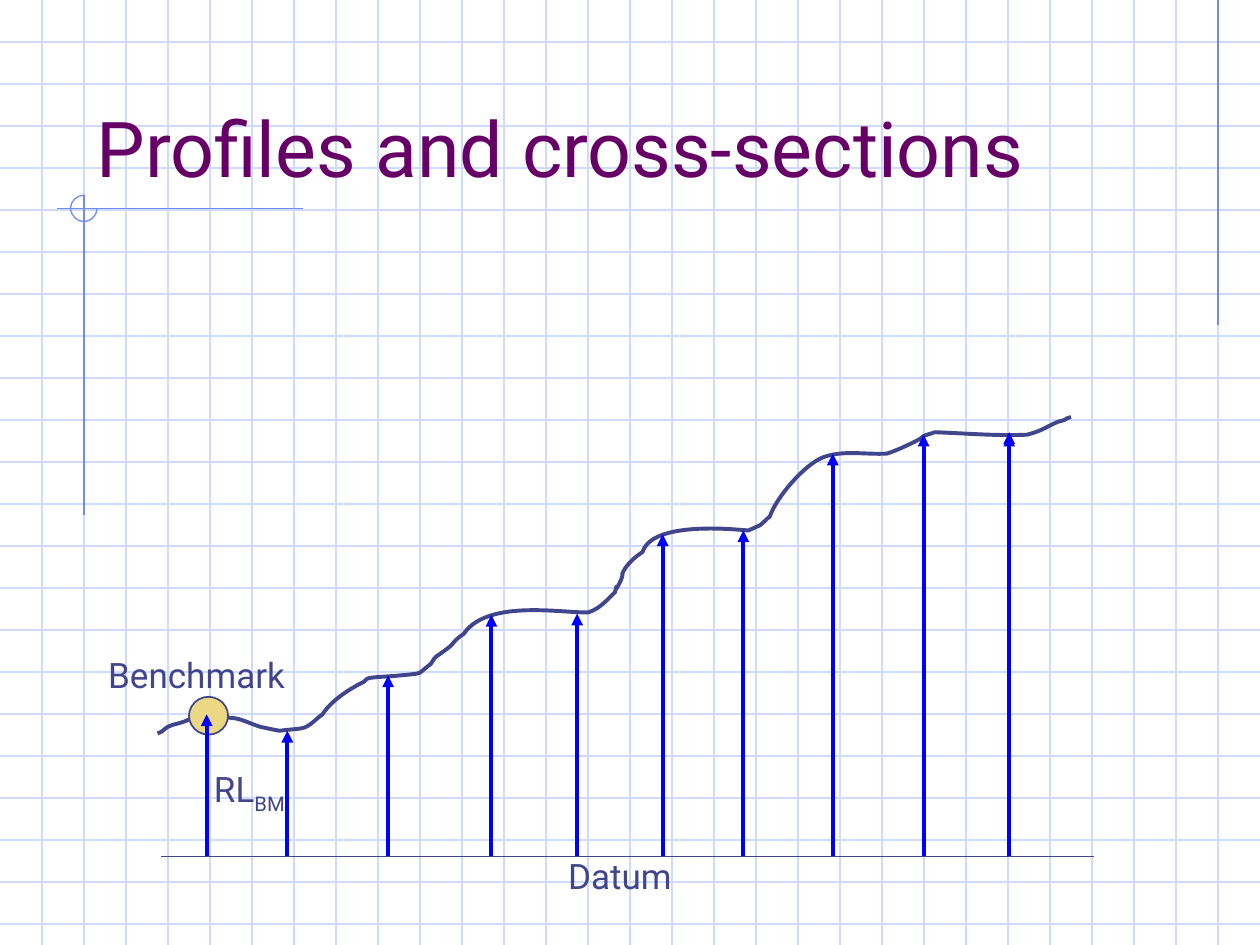
from dataclasses import dataclass

from lxml.etree import SubElement
from pptx import Presentation
from pptx.dml.color import RGBColor as RGB
from pptx.enum.shapes import MSO_CONNECTOR as CONNECTOR, MSO_SHAPE as SHAPE
from pptx.enum.text import MSO_ANCHOR as ANCHOR, MSO_AUTO_SIZE as FIT, PP_ALIGN as ALIGN
from pptx.oxml.ns import qn
from pptx.util import Pt

WIDTH, HEIGHT, GRID = 720, 540, 24
DATUM_Y = 489.4

GROUND = [
    (95, 417.6, 92.2, 416.2, 99.4, 414), (102.2, 413.3, 105.1, 412.6, 108, 411.1),
    (110.9, 410.4, 115.9, 409, 115.9, 409), (121.7, 409.7, 128.2, 409.7, 133.9, 410.4),
    (139, 411.1, 144, 414, 149, 415.4), (156.2, 416.9, 152.6, 416.2, 159.8, 417.6),
    (164.2, 416.9, 167.8, 416.9, 172.1, 416.2), (177.1, 415.4, 180, 411.1, 184.3, 408.2),
    (189.4, 400.3, 199.4, 393.8, 208.1, 389.5), (208.8, 388.8, 209.5, 387.4, 211, 387.4),
    (216.7, 386.6, 223.2, 386.6, 229, 385.9), (229, 385.9, 238.3, 385.2, 239.8, 384.5),
    (241.9, 383, 244.1, 380.9, 246.2, 379.4), (249.8, 373.7, 247, 377.3, 256.3, 370.1),
    (258.5, 368.6, 259.9, 365.8, 262.1, 364.3), (262.8, 363.6, 264.2, 362.9, 265, 362.2),
    (278.6, 342, 322.6, 350.6, 336.2, 349.9), (342.7, 347.8, 346.3, 343.4, 351.4, 338.4),
    (354.2, 329, 349.2, 343.4, 355, 331.2), (355.7, 329.8, 355.7, 328.3, 355.7, 327.6),
    (357.8, 322.6, 362.9, 318.2, 367.2, 315.4), (373, 296.6, 424.8, 303.1, 427.7, 303.1),
    (427.7, 303.1, 434.2, 300.2, 434.2, 300.2), (436.3, 298.8, 437.8, 296.6, 439.9, 295.2),
    (443.5, 284.4, 459.4, 265.7, 470.2, 261.4), (481.7, 257, 494.6, 259.9, 506.9, 259.2),
    (513.4, 257, 519.1, 254.2, 524.9, 251.3), (526.3, 250.6, 527, 249.8, 527.8, 249.1),
    (529.9, 248.4, 534.2, 247, 534.2, 247), (553.7, 247.7, 568.1, 249.1, 586.8, 248.4),
    (595.4, 246.2, 596.2, 244.8, 604.1, 241.2), (605.5, 240.5, 608.4, 240.5, 609.8, 239),
    (610.6, 239, 611.3, 238.3, 612, 238.3),
]

CORNER = [
    (43.9, 111.5, 40.3, 115.2, 40.3, 118.8), (40.3, 123.1, 43.9, 126.7, 48, 126.7),
    (51.8, 126.7, 55.4, 123.1, 55.4, 119.5),
]

BENCHMARK_LEVEL = (118.1, 408.2)
LEVELS = [
    (576.7, 247), (280.8, 351.4), (424.8, 303.1), (576.7, 248.4), (164.2, 417.6),
    (221.8, 385.9), (329.8, 350.6), (378.7, 305.3), (475.9, 259.2), (527.8, 248.4),
]


@dataclass(frozen=True)
class Theme:
    """Colours, font, type sizes and line widths."""
    grid: RGB = RGB.from_string("CFDBFD")
    accent: RGB = RGB.from_string("6F89F7")
    title: RGB = RGB.from_string("660066")
    ink: RGB = RGB.from_string("40458C")
    level: RGB = RGB.from_string("0000FF")
    mark: RGB = RGB.from_string("ECD882")
    font: str = "Roboto"
    title_size: int = 44
    label_size: int = 20
    hair: float = 0.75
    thin: float = 1
    thick: float = 2.25


def assign(obj, **values):
    """Set each named attribute of an object."""
    for name, value in values.items():
        setattr(obj, name, value)


class Sketch:
    """Holds the theme and the current slide and draws elements on it."""

    def __init__(self, s, theme):
        """Keep the slide and the theme."""
        self.s, self.theme, self.shapes = s, theme, s.shapes

    def group(self):
        """Start a group that takes the next elements."""
        sp = self.s.shapes.add_group_shape()
        self.shapes = sp.shapes
        return sp

    def ungroup(self):
        """Draw the next elements on the slide itself."""
        self.shapes = self.s.shapes

    def stroke(self, sp, color, width):
        """Give a shape a solid outline."""
        sp.line.color.rgb = color
        sp.line.width = Pt(width)

    def run(self, p, text, size, color):
        """Add a formatted run to a paragraph."""
        r = p.add_run()
        r.text = text
        assign(r.font, name=self.theme.font, size=Pt(size))
        r.font.color.rgb = color
        return r

    def title(self, text, box):
        """Place and fill the title placeholder."""
        sp = self.s.shapes.title
        assign(sp, **dict(zip(("left", "top", "width", "height"), map(Pt, box))))
        assign(sp.text_frame, vertical_anchor=ANCHOR.BOTTOM, word_wrap=True,
               auto_size=FIT.NONE)
        p = sp.text_frame.paragraphs[0]
        p.alignment = ALIGN.LEFT
        self.run(p, text, self.theme.title_size, self.theme.title)

    def label(self, text, box, sub=""):
        """Add a one-line label with an optional subscript."""
        tf = self.shapes.add_textbox(*map(Pt, box)).text_frame
        assign(tf, word_wrap=False, auto_size=FIT.SHAPE_TO_FIT_TEXT)
        p = tf.paragraphs[0]
        style = self.theme.label_size, self.theme.ink
        self.run(p, text, *style)
        if sub:
            r = self.run(p, sub, *style)
            r.font._element.set("baseline", "-25000")

    def line(self, ends, color, width, arrow=False):
        """Add a straight line, with an arrowhead at its end if asked."""
        sp = self.shapes.add_connector(CONNECTOR.STRAIGHT, *map(Pt, ends))
        self.stroke(sp, color, width)
        if arrow:
            SubElement(sp.line._get_or_add_ln(), qn("a:tailEnd"), type="triangle")
        SubElement(sp.element.spPr, qn("a:effectLst"))

    def dot(self, box, color, width, fill):
        """Add a filled ellipse."""
        sp = self.shapes.add_shape(SHAPE.OVAL, *map(Pt, box))
        sp.shadow.inherit = False
        sp.fill.solid()
        sp.fill.fore_color.rgb = fill
        self.stroke(sp, color, width)

    def curve(self, start, arcs, color, width):
        """Add an open outline of cubic arcs."""
        knots = [start, *(arc[4:] for arc in arcs)]
        left, top = map(min, zip(*knots))
        first, *rest = [(round(x * 100), round(y * 100)) for x, y in knots]
        builder = self.shapes.build_freeform(*first, scale=Pt(1) / 100)
        builder.add_line_segments(rest, close=False)
        sp = builder.convert_to_shape()
        for seg, arc in zip(list(sp.element.iter(qn("a:lnTo"))), arcs):
            seg.tag = qn("a:cubicBezTo")
            seg.remove(seg[0])
            for x, y in zip(arc[::2], arc[1::2]):
                SubElement(seg, qn("a:pt"), x=str(round((x - left) * 100)),
                           y=str(round((y - top) * 100)))
        sp.shadow.inherit = False
        sp.fill.background()
        self.stroke(sp, color, width)

    def backdrop(self, master):
        """Put the squared paper and the corner ornaments on the master."""
        t = self.theme
        sp = self.group()
        for y in range(GRID, HEIGHT, GRID):
            self.line((0, y, WIDTH, y), t.grid, t.hair)
        for x in range(GRID, WIDTH, GRID):
            self.line((x, 0, x, HEIGHT), t.grid, t.hair)
        self.curve((48, 111.5), CORNER, t.accent, t.hair)
        for ends in ((696, 0, 696, 186), (173, 119.3, 32.5, 119.3), (48, 111.5, 48, 294.5)):
            self.line(ends, t.accent, t.hair)
        master.shapes.element.append(sp.element)
        self.ungroup()

    def level(self, x, top):
        """Add an arrow from the datum up to the ground."""
        self.line((x, DATUM_Y, x, top), self.theme.level, self.theme.thick, arrow=True)


def main():
    """Build the slide and save it."""
    prs = Presentation()
    assign(prs, slide_width=Pt(WIDTH), slide_height=Pt(HEIGHT))
    s = prs.slides.add_slide(prs.slide_layouts[5])
    t = Theme()
    sketch = Sketch(s, t)
    sketch.backdrop(prs.slide_master)
    sketch.title("Profiles and cross-sections", (48, 24, 612, 90))
    sketch.group()
    sketch.label("RL", (115.2, 434.9, 55.4, 34.6), sub="BM")
    sketch.curve((90, 419), GROUND, t.ink, t.thick)
    sketch.dot((108, 398.2, 22.3, 21.6), t.ink, t.thin, t.mark)
    sketch.line((92.2, DATUM_Y, 625, DATUM_Y), t.ink, t.thin)
    sketch.label("Benchmark", (54.7, 370.1, 121.7, 31.7))
    sketch.label("Datum", (317.5, 484.6, 78.5, 31.7))
    sketch.level(*BENCHMARK_LEVEL)
    sketch.ungroup()
    for x, top in LEVELS:
        sketch.level(x, top)
    prs.save("out.pptx")


if __name__ == "__main__":
    main()
